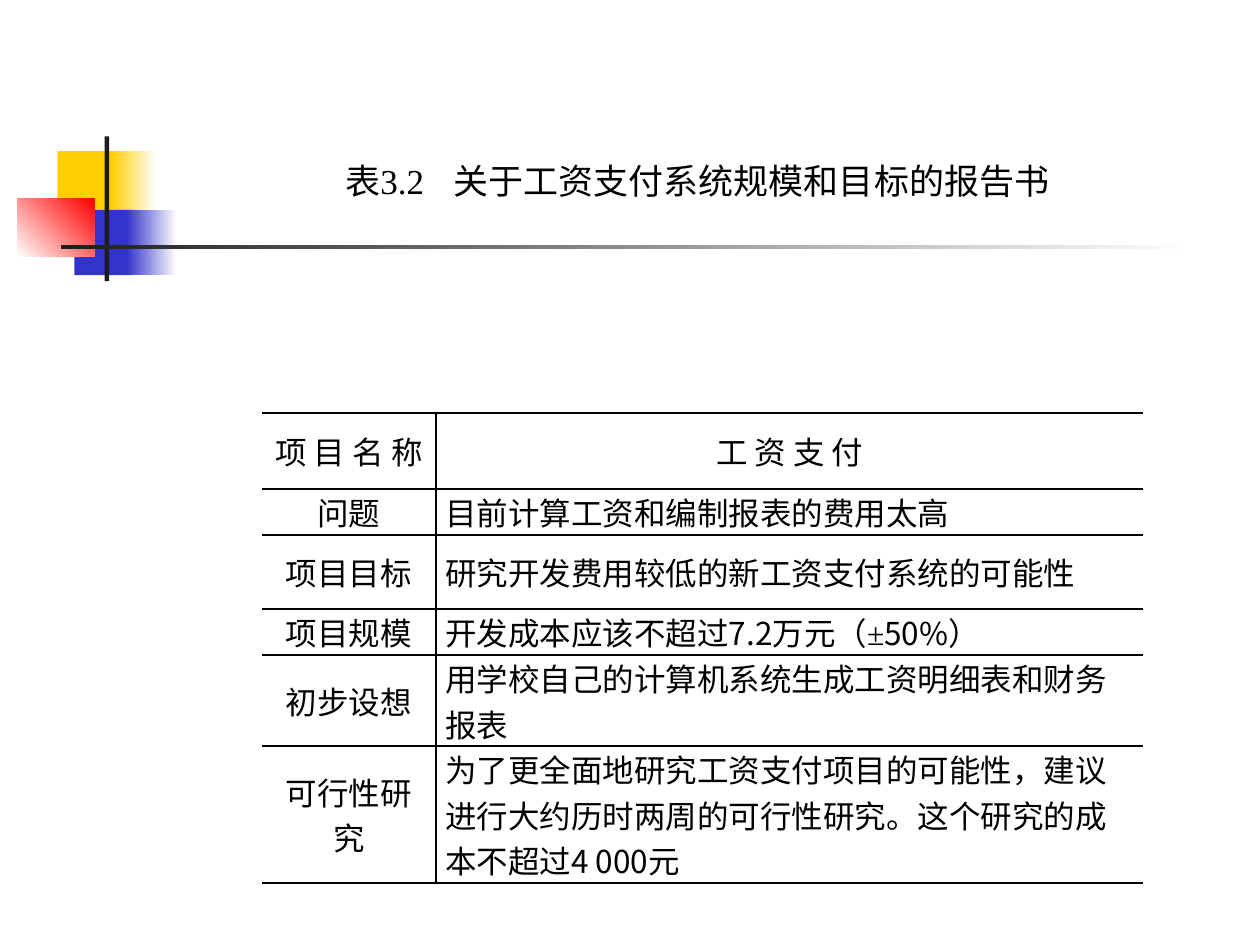
from pptx import Presentation
from pptx.dml.color import RGBColor
from pptx.enum.shapes import MSO_SHAPE
from pptx.enum.text import MSO_ANCHOR, PP_ALIGN
from pptx.oxml.ns import qn
from pptx.util import Cm, Pt
from lxml.etree import SubElement

SANS, SERIF = "Noto Sans CJK SC", "Times New Roman"
BLACK, WHITE = "000000", "FFFFFF"
YELLOW, BLUE, RED, DARK = "FFCF01", "3333CC", "FF0000", "1C1C1C"

TITLE = "表3.2\t关于工资支付系统规模和目标的报告书"

# Label, then the runs of the answer
ROWS = [
    ("项 目 名 称", [("工 资 支 付", SANS)]),
    ("问题", [("目前计算工资和编制报表的费用太高", SANS)]),
    ("项目目标", [("研究开发费用较低的新工资支付系统的可能性", SANS)]),
    ("项目规模", [("开发成本应该不超过7.2万元（", SANS), ("±", SERIF),
              ("50%）", SANS)]),
    ("初步设想", [("用学校自己的计算机系统生成工资明细表和财务报表", SANS)]),
    ("可行性研究", [("为了更全面地研究工资支付项目的可能性，建议进行大约历时两周的"
                "可行性研究。这个研究的成本不超过4 000元", SANS)]),
]
HEIGHTS = [1.53, 0.76, 1.5, 0.76, 1.52, 2.29]
WIDTHS = [3.51, 14.26]

# Left, top, width, height in cm; colours from start to end; angle
DECOR = [
    (1.16, 3.05, 1.22, 1.32, [YELLOW], 0),
    (2.24, 3.05, 0.91, 1.32, [YELLOW, WHITE], 0),
    (1.5, 4.23, 1.18, 1.32, [BLUE], 0),
    (2.55, 4.23, 1.01, 1.32, [BLUE, WHITE], 0),
    (0.35, 4.01, 1.55, 1.17, [WHITE, RED], 45),
    (2.11, 2.75, 0.09, 2.92, [DARK], 0),
    (1.23, 4.94, 22.86, 0.09, [DARK, WHITE], 0),
]


def color(code):
    return RGBColor.from_string(code)


def add_run(para, text, font, size):
    run = para.add_run()
    run.text = text
    run.font.name, run.font.size = font, Pt(size)
    run.font.color.rgb = color(BLACK)
    SubElement(run.font._element, qn("a:ea"), typeface=SANS)


def set_edges(cell, drawn):
    for side in "LRTB":
        line = SubElement(cell._tc.get_or_add_tcPr(), qn("a:ln" + side),
                          w=str(Pt(1)))
        if side in drawn:
            fill = SubElement(line, qn("a:solidFill"))
            SubElement(fill, qn("a:srgbClr"), val=BLACK)
        else:
            SubElement(line, qn("a:noFill"))


deck = Presentation()
deck.slide_width, deck.slide_height = Cm(25.4), Cm(19.05)
slide = deck.slides.add_slide(deck.slide_layouts[6])

# Corner blocks and rules
for *box, tones, angle in DECOR:
    block = slide.shapes.add_shape(MSO_SHAPE.RECTANGLE, *map(Cm, box))
    block.shadow.inherit = False
    block.line.fill.background()
    if len(tones) == 1:
        block.fill.solid()
        block.fill.fore_color.rgb = color(tones[0])
    else:
        block.fill.gradient()
        block.fill.gradient_angle = angle
        for stop, tone in zip(block.fill.gradient_stops, tones):
            stop.color.rgb = color(tone)

# Report table
table = slide.shapes.add_table(len(ROWS), 2, Cm(5.28), Cm(8.33),
                               Cm(sum(WIDTHS)), Cm(sum(HEIGHTS))).table
table.first_row = table.horz_banding = False
for col, width in zip(table.columns, WIDTHS):
    col.width = Cm(width)
for r, (label, answer) in enumerate(ROWS):
    table.rows[r].height = Cm(HEIGHTS[r])
    for c, runs in enumerate([[(label, SANS)], answer]):
        cell = table.cell(r, c)
        cell.vertical_anchor = MSO_ANCHOR.MIDDLE
        cell.margin_left = cell.margin_right = Cm(0.19)
        cell.margin_top = cell.margin_bottom = 0
        set_edges(cell, "LTB" if c else "RTB")
        cell.fill.background()
        para = cell.text_frame.paragraphs[0]
        center = r == 0 or c == 0
        para.alignment = PP_ALIGN.CENTER if center else PP_ALIGN.LEFT
        for text, font in runs:
            add_run(para, text, font, 18)

# Table title
frame = slide.shapes.add_textbox(Cm(6.35), Cm(3.1), Cm(15.95), Cm(1.12)).text_frame
frame.word_wrap = True
para = frame.paragraphs[0]
props = para._p.get_or_add_pPr()
props.set("marL", "0")
props.set("indent", str(Cm(0.36)))
add_run(para, TITLE, SERIF, 20)

deck.save("out.pptx")
